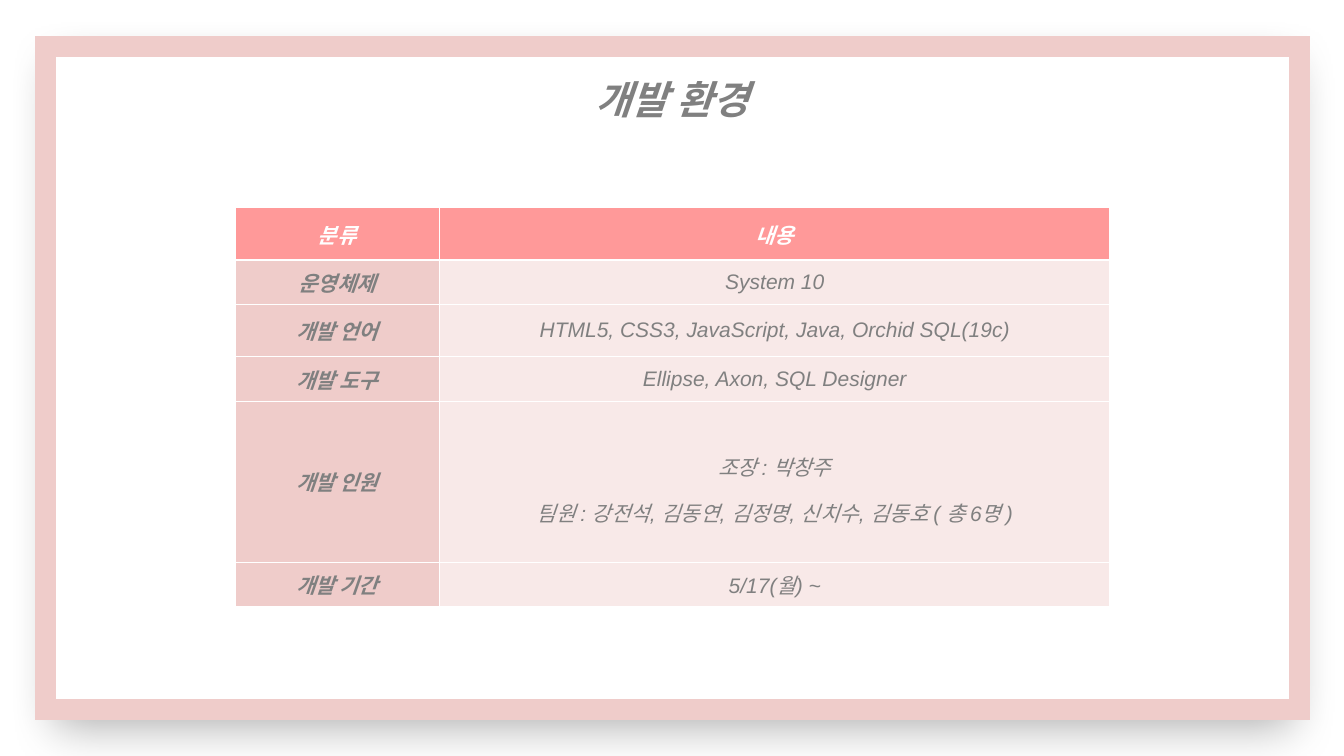
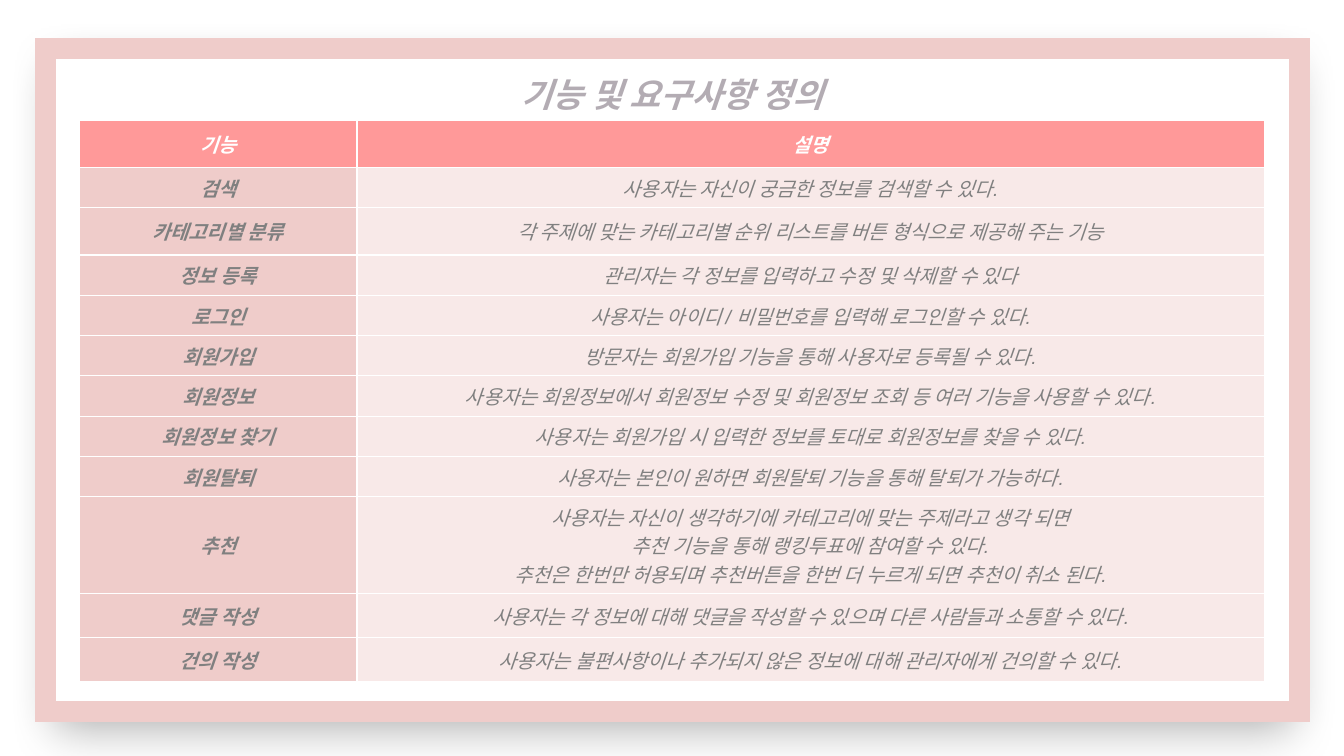
import pptx
import pptx.dml.color
import pptx.enum.shapes
import pptx.enum.text
import pptx.oxml
import pptx.oxml.ns
import pptx.util

COLORS = {
    "white": "FFFFFF",
    "frame": "EFCCCA",
    "header": "FF9999",
    "label": "EFCCCA",
    "body": "F8E9E8",
    "text": "808080",
    "muted": "B3ACB3",
}
TITLE_FONT = "Noto Sans CJK KR"
TABLE_FONT = "Arial"
SLIDE_WIDTH = pptx.util.Inches(13.33)
SLIDE_HEIGHT = pptx.util.Inches(7.5)
FRAME_LEFT, FRAME_WIDTH, FRAME_HEIGHT = 3.38, 93.32, 87.73
SHADOW = (
    '<a:effectLst %s><a:outerShdw blurRad="431800" dist="241300" dir="5400000" '
    'sx="97000" sy="97000" algn="t" rotWithShape="0"><a:srgbClr val="000000">'
    '<a:alpha val="31000"/></a:srgbClr></a:outerShdw></a:effectLst>'
) % pptx.oxml.ns.nsdecls("a")
MITER = '<a:miter %s lim="800000"/>' % pptx.oxml.ns.nsdecls("a")
EAST_ASIAN = '<a:ea %s typeface="%s"/>' % (pptx.oxml.ns.nsdecls("a"), TITLE_FONT)

ENVIRONMENT_ROWS = [
    (6.93, "분류", "내용"),
    (5.87, "운영체제", "System 10"),
    (6.93, "개발 언어", "HTML5, CSS3, JavaScript, Java, Orchid SQL(19c)"),
    (5.87, "개발 도구", "Ellipse, Axon, SQL Designer"),
    (21.33, "개발 인원", "조장 : 박창주\v팀원 : 강전석, 김동연, 김정명, 신치수, 김동호 ( 총 6명 )"),
    (5.87, "개발 기간", "5/17(월) ~"),
]
FEATURE_ROWS = [
    (6.27, "기능", "설명"),
    (5.33, "검색", "사용자는 자신이 궁금한 정보를 검색할 수 있다."),
    (6.27, "카테고리별 분류", "각 주제에 맞는 카테고리별 순위 리스트를 버튼 형식으로 제공해 주는 기능"),
    (5.33, "정보 등록", "관리자는 각 정보를 입력하고 수정 및 삭제할 수 있다"),
    (5.33, "로그인", "사용자는 아이디 / 비밀번호를 입력해 로그인할 수 있다."),
    (5.33, "회원가입", "방문자는 회원가입 기능을 통해 사용자로 등록될 수 있다."),
    (5.33, "회원정보", "사용자는 회원정보에서 회원정보 수정 및 회원정보 조회 등 여러 기능을 사용할 수 있다."),
    (5.33, "회원정보 찾기", "사용자는 회원가입 시 입력한 정보를 토대로 회원정보를 찾을 수 있다."),
    (5.33, "회원탈퇴", "사용자는 본인이 원하면 회원탈퇴 기능을 통해 탈퇴가 가능하다."),
    (12.8, "추천", "사용자는 자신이 생각하기에 카테고리에 맞는 주제라고 생각 되면\n"
                   "추천 기능을 통해 랭킹투표에 참여할 수 있다.\n"
                   "추천은 한번만 허용되며 추천버튼을 한번 더 누르게 되면 추천이 취소 된다."),
    (5.87, "댓글 작성", "사용자는 각 정보에 대해 댓글을 작성할 수 있으며 다른 사람들과 소통할 수 있다."),
    (5.73, "건의 작성", "사용자는 불편사항이나 추가되지 않은 정보에 대해 관리자에게 건의할 수 있다."),
]


def across(percent):
    """Return a share of the slide width, given in percent."""
    return round(SLIDE_WIDTH * percent / 100)


def down(percent):
    """Return a share of the slide height, given in percent."""
    return round(SLIDE_HEIGHT * percent / 100)


def paint(fill, color):
    """Give a fill one solid colour from the palette."""
    fill.solid()
    fill.fore_color.rgb = pptx.dml.color.RGBColor.from_string(COLORS[color])


def style_paragraph(paragraph, font_name, size, color, bold=True):
    """Centre a paragraph and set its italic font."""
    paragraph.alignment = pptx.enum.text.PP_ALIGN.CENTER
    font = paragraph.font
    font.name = font_name
    font.size = pptx.util.Pt(size)
    font.bold = bold
    font.italic = True
    paint(font.fill, color)


def add_framed_title(slide, top, title, size, color):
    """Add the shadowed frame that carries the slide title."""
    frame = slide.shapes.add_shape(
        pptx.enum.shapes.MSO_SHAPE.RECTANGLE,
        across(FRAME_LEFT), down(top), across(FRAME_WIDTH), down(FRAME_HEIGHT))
    paint(frame.fill, "white")
    paint(frame.line.fill, "frame")
    frame.line.width = pptx.util.Pt(14.75)
    properties = frame._element.spPr
    properties.find(pptx.oxml.ns.qn("a:ln")).append(pptx.oxml.parse_xml(MITER))
    properties.append(pptx.oxml.parse_xml(SHADOW))
    frame.text_frame.vertical_anchor = pptx.enum.text.MSO_ANCHOR.TOP
    paragraph = frame.text_frame.paragraphs[0]
    paragraph.line_spacing = 1.5
    run = paragraph.add_run()
    run.text = title
    style_paragraph(paragraph, TITLE_FONT, size, color)
    run._r.get_or_add_rPr().append(pptx.oxml.parse_xml(EAST_ASIAN))


def fill_cell(cell, text, size, fill, color, bold):
    """Write and style one table cell."""
    cell.text = text
    cell.vertical_anchor = pptx.enum.text.MSO_ANCHOR.MIDDLE
    paint(cell.fill, fill)
    for paragraph in cell.text_frame.paragraphs:
        style_paragraph(paragraph, TABLE_FONT, size, color, bold)
        if "\v" in text:
            paragraph.line_spacing = 1.5


def add_label_table(slide, left, top, widths, rows, size):
    """Add a table with a header row and a column of labels."""
    table = slide.shapes.add_table(
        len(rows), len(widths), across(left), down(top),
        across(sum(widths)), down(sum(row[0] for row in rows))).table
    for column, width in zip(table.columns, widths):
        column.width = across(width)
    for row_index, (height, *texts) in enumerate(rows):
        table.rows[row_index].height = down(height)
        for column_index, text in enumerate(texts):
            is_header, is_label = row_index == 0, column_index == 0
            fill = "header" if is_header else "label" if is_label else "body"
            fill_cell(table.cell(row_index, column_index), text, size, fill,
                      "white" if is_header else "text", is_header or is_label)


def main():
    """Build and save the presentation."""
    presentation = pptx.Presentation()
    presentation.slide_width = SLIDE_WIDTH
    presentation.slide_height = SLIDE_HEIGHT
    blank = presentation.slide_layouts[6]

    environment = presentation.slides.add_slide(blank)
    add_framed_title(environment, 6.13, "개발 환경", 28, "text")
    add_label_table(environment, 17.48, 27.47, (15.23, 49.89), ENVIRONMENT_ROWS, 15)

    features = presentation.slides.add_slide(blank)
    add_framed_title(features, 6.4, "기능 및 요구사항 정의", 24, "muted")
    add_label_table(features, 5.93, 15.87, (20.63, 67.52), FEATURE_ROWS, 14)

    presentation.save("out.pptx")


if __name__ == "__main__":
    main()
